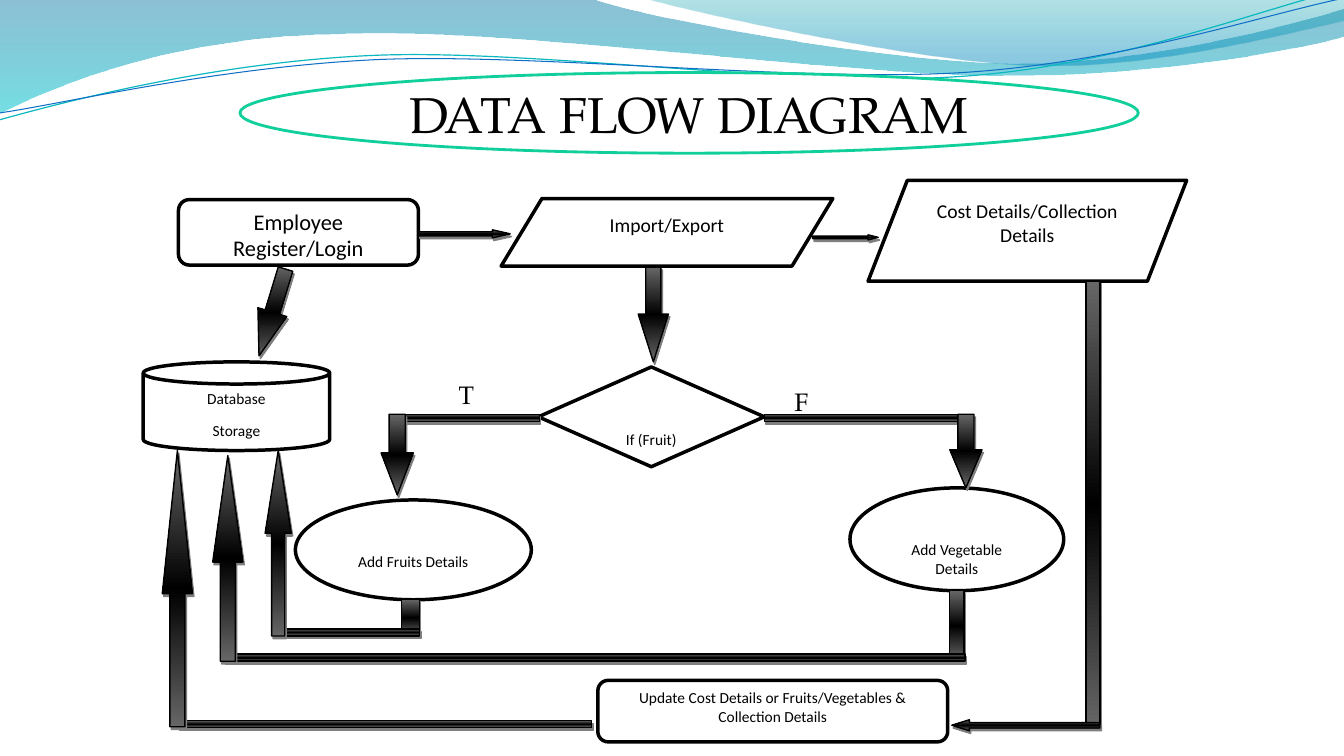
import dataclasses

import lxml.etree
import pptx
import pptx.dml.color
import pptx.enum.shapes
import pptx.enum.text
import pptx.oxml.ns
import pptx.util

Inches = pptx.util.Inches
Pt = pptx.util.Pt
SHAPES = pptx.enum.shapes.MSO_SHAPE
qn = pptx.oxml.ns.qn


@dataclasses.dataclass(frozen=True)
class Theme:
    ink: str = "000000"
    paper: str = "FFFFFF"
    title_outline: str = "10CF9B"
    shadow: str = "7F7F7F"
    # Gradient stops: position, colour, opacity in percent
    flow_stops: tuple = ((0, "666666", 100), (50, "000000", 100), (100, "666666", 100))
    back_wave_stops: tuple = ((0, "0074A1", 45), (100, "00C6CF", 55))
    front_wave_stops: tuple = ((0, "00A1A9", 30), (80, "008BBF", 45))
    upper_strand: str = "0AB8BF"
    lower_strand: str = "0F6FC6"
    heading_font: str = "TeX Gyre Pagella"
    body_font: str = "Calibri"
    title_size: int = 36
    label_size: int = 18
    large: int = 16
    medium: int = 14
    small: int = 11


THEME = Theme()


def rgb(value):
    return pptx.dml.color.RGBColor.from_string(value)


def place(box, left, top, width, height):
    return [Inches(v) for v in (box[0] + left, box[1] + top, width, height)]


def set_line(shape, color, width):
    shape.line.color.rgb = rgb(color)
    shape.line.width = Pt(width)


def set_gradient(shape, stops):
    """Fill from top to bottom of the slide, with an opacity for each stop."""
    shape.fill.gradient()
    gradient = shape.element.spPr.find(qn("a:gradFill"))
    gradient.set("rotWithShape", "0")
    for child in list(gradient):
        gradient.remove(child)
    stop_list = lxml.etree.SubElement(gradient, qn("a:gsLst"))
    for position, color, opacity in stops:
        stop = lxml.etree.SubElement(stop_list, qn("a:gs"), pos=str(position * 1000))
        color_node = lxml.etree.SubElement(stop, qn("a:srgbClr"), val=color)
        if opacity < 100:
            lxml.etree.SubElement(color_node, qn("a:alpha"), val=str(opacity * 1000))
    lxml.etree.SubElement(gradient, qn("a:lin"), ang="5400000", scaled="0")


def set_text(shape, text, font, size, space_after=0, centred=True):
    shape.text_frame.text = text
    for paragraph in shape.text_frame.paragraphs:
        if centred:
            paragraph.alignment = pptx.enum.text.PP_ALIGN.CENTER
        paragraph.space_after = Pt(space_after)
        paragraph.font.name = font
        paragraph.font.size = Pt(size)
        paragraph.font.color.rgb = rgb(THEME.ink)


def add_outlined(slide, kind, position, color, width):
    shape = slide.shapes.add_shape(kind, *position)
    shape.shadow.inherit = False
    shape.fill.solid()
    shape.fill.fore_color.rgb = rgb(THEME.paper)
    set_line(shape, color, width)
    shape.text_frame.word_wrap = True
    return shape


def add_outline(slide, box, parts, closed):
    """Draw pairs as corners and sixes as cubic curves."""
    points = [(Inches(box[0] + part[i]), Inches(box[1] + part[i + 1]))
              for part in parts for i in range(0, len(part), 2)]
    builder = slide.shapes.build_freeform(*points[0])
    builder.add_line_segments(points[1:], close=closed)
    shape = builder.convert_to_shape()
    shape.shadow.inherit = False
    # Join the three points of each curve into one segment
    segments = iter(shape.element.spPr.findall(".//" + qn("a:lnTo")))
    for part in parts[1:]:
        first = next(segments)
        if len(part) == 6:
            first.tag = qn("a:cubicBezTo")
            for _ in range(2):
                other = next(segments)
                first.append(other[0])
                other.getparent().remove(other)
    return shape


def draw_waves(slide, box):
    # Filled bands
    back = [(0, 0), (5.87, -0.01), (6.34, 0.17, 8.85, 0.63, 10.11, 0.63),
            (11.38, 0.63, 12.78, 0.26, 13.33, 0.09), (13.35, 0.36),
            (13.11, 0.44, 11.6, 0.76, 9.94, 0.75), (8.29, 0.75, 5.09, 0.28, 3.43, 0.34),
            (1.72, 0.36, 0.61, 0.83, -0.01, 1.13)]
    front = [(6.39, -0.01), (6.79, 0.11, 9.09, 0.62, 10.25, 0.65),
             (11.41, 0.69, 12.82, 0.32, 13.33, 0.21), (13.33, 0)]
    for parts, stops in ((back, THEME.back_wave_stops), (front, THEME.front_wave_stops)):
        wave = add_outline(slide, box, parts, True)
        set_gradient(wave, stops)
        wave.line.fill.background()
    # Thin strands
    upper = [(-0.01, 1.19), (0.64, 1.01, 2.11, 0.62, 3.69, 0.55),
             (5.27, 0.48, 7.9, 0.87, 9.5, 0.76), (11.1, 0.66, 12.52, 0.08, 13.31, -0.1)]
    lower = [(0, 1.12), (0.63, 1.03, 2.18, 0.66, 3.78, 0.59),
             (5.37, 0.53, 7.96, 0.82, 9.55, 0.72), (11.15, 0.62, 12.55, 0.14, 13.34, -0.02)]
    for parts, color, width in ((upper, THEME.upper_strand, 0.85),
                                (lower, THEME.lower_strand, 0.75)):
        strand = add_outline(slide, box, parts, False)
        strand.fill.background()
        set_line(strand, color, width)


def draw_title(slide, box):
    title = add_outlined(slide, SHAPES.OVAL, place(box, 0, 0, *box[2:]),
                         THEME.title_outline, 2)
    title.text_frame.vertical_anchor = pptx.enum.text.MSO_ANCHOR.MIDDLE
    set_text(title, "DATA FLOW DIAGRAM", THEME.heading_font, THEME.title_size)


def draw_steps(slide, box):
    # Kind, place, first adjustment, text, size, space after, top inset
    steps = [
        (SHAPES.ROUNDED_RECTANGLE, (0.37, 0.19, 2.38, 0.65), 0.167,
         "Employee\nRegister/Login", THEME.large, 0, 0.05),
        (SHAPES.PARALLELOGRAM, (3.57, 0.18, 3.29, 0.67), 0.604,
         "Import/Export", THEME.medium, 10, 0.05),
        (SHAPES.PARALLELOGRAM, (7.21, 0, 3.16, 1), 0.389,
         "Cost Details/Collection Details", THEME.medium, 0, 0.05),
        (SHAPES.CAN, (0.02, 1.8, 1.85, 0.88), 0.25,
         "Database\nStorage", THEME.small, 10, 0.05),
        (SHAPES.DIAMOND, (3.94, 1.85, 2.24, 0.99), None,
         "If (Fruit)", THEME.small, 10, 0.38),
        (SHAPES.OVAL, (1.53, 3.17, 2.34, 0.99), None,
         "Add Fruits Details", THEME.small, 10, 0.37),
        (SHAPES.OVAL, (7.03, 3.05, 2.12, 1.02), None,
         "Add Vegetable Details", THEME.small, 10, 0.37),
        (SHAPES.ROUNDED_RECTANGLE, (4.53, 4.96, 3.47, 0.61), 0.167,
         "Update Cost Details or Fruits/Vegetables & Collection Details",
         THEME.small, 10, 0.05),
    ]
    for kind, position, adjustment, text, size, space_after, inset in steps:
        step = add_outlined(slide, kind, place(box, *position), THEME.ink, 2.5)
        if adjustment is not None:
            step.adjustments[0] = adjustment
        step.text_frame.vertical_anchor = pptx.enum.text.MSO_ANCHOR.TOP
        step.text_frame.margin_top = Inches(inset)
        set_text(step, text, THEME.body_font, size, space_after)


def add_flow_part(slide, kind, position):
    part = slide.shapes.add_shape(kind, *position)
    set_gradient(part, THEME.flow_stops)
    set_line(part, THEME.ink, 1)
    part.shadow.inherit = False
    effects = part.element.spPr.find(qn("a:effectLst"))
    shadow = lxml.etree.SubElement(effects, qn("a:outerShdw"), blurRad="0",
                                   dist=str(Pt(2.2)), dir=str(63 * 60000), rotWithShape="0")
    lxml.etree.SubElement(shadow, qn("a:srgbClr"), val=THEME.shadow)
    return part


def draw_flows(slide, box):
    # Straight bars that lead into the arrows
    bars = [(6.18, 2.32, 1.98, 0.07), (2.58, 2.32, 1.37, 0.07), (9.37, 1, 0.14, 4.43),
            (2.58, 4.16, 0.18, 0.36), (1.44, 4.45, 1.32, 0.07), (8.02, 4.07, 0.14, 0.7),
            (0.82, 4.7, 7.35, 0.07), (0.37, 5.36, 4.1, 0.07)]
    for bar in bars:
        add_flow_part(slide, SHAPES.RECTANGLE, place(box, *bar))
    # Arrows: kind, place, head length, rotation
    arrows = [
        (SHAPES.RIGHT_ARROW, (2.75, 0.49, 0.91, 0.08), 2.2, 0),
        (SHAPES.RIGHT_ARROW, (6.66, 0.54, 0.65, 0.05), 2, 0),
        (SHAPES.RIGHT_ARROW, (4.61, 1.18, 0.94, 0.3), 1.58, 90),
        (SHAPES.RIGHT_ARROW, (0.85, 1.16, 0.9, 0.3), 1.51, 107),
        (SHAPES.DOWN_ARROW, (8.02, 2.32, 0.32, 0.73), 1.18, 0),
        (SHAPES.DOWN_ARROW, (2.38, 2.32, 0.32, 0.8), 1.3, 0),
        (SHAPES.LEFT_ARROW, (8.04, 5.35, 1.47, 0.11), 1.59, 0),
        (SHAPES.UP_ARROW, (1.23, 2.68, 0.26, 1.84), 3.16, 0),
        (SHAPES.UP_ARROW, (0.71, 2.73, 0.3, 2.04), 3.52, 0),
        (SHAPES.UP_ARROW, (0.21, 2.68, 0.3, 2.74), 4.73, 0),
    ]
    for kind, position, head, rotation in arrows:
        arrow = add_flow_part(slide, kind, place(box, *position))
        arrow.adjustments[0] = 0.5
        arrow.adjustments[1] = head
        arrow.rotation = rotation


def draw_branch_labels(slide, box):
    for text, left, top, width in (("F", 6.38, 1.99, 0.34), ("T", 3.05, 1.92, 0.36)):
        label = slide.shapes.add_textbox(*place(box, left, top, width, 0.4))
        label.text_frame.word_wrap = False
        label.text_frame.auto_size = pptx.enum.text.MSO_AUTO_SIZE.SHAPE_TO_FIT_TEXT
        set_text(label, text, THEME.heading_font, THEME.label_size, centred=False)


def main():
    presentation = pptx.Presentation()
    presentation.slide_width, presentation.slide_height = Inches(13.33), Inches(7.5)
    slide = presentation.slides.add_slide(presentation.slide_layouts[6])
    diagram = (1.4, 1.79, 10.37, 5.57)
    draw_waves(slide, (0, 0, 13.33, 1.2))
    draw_title(slide, (2.38, 0.72, 8.91, 0.8))
    draw_steps(slide, diagram)
    draw_flows(slide, diagram)
    draw_branch_labels(slide, diagram)
    presentation.save("out.pptx")


if __name__ == "__main__":
    main()
